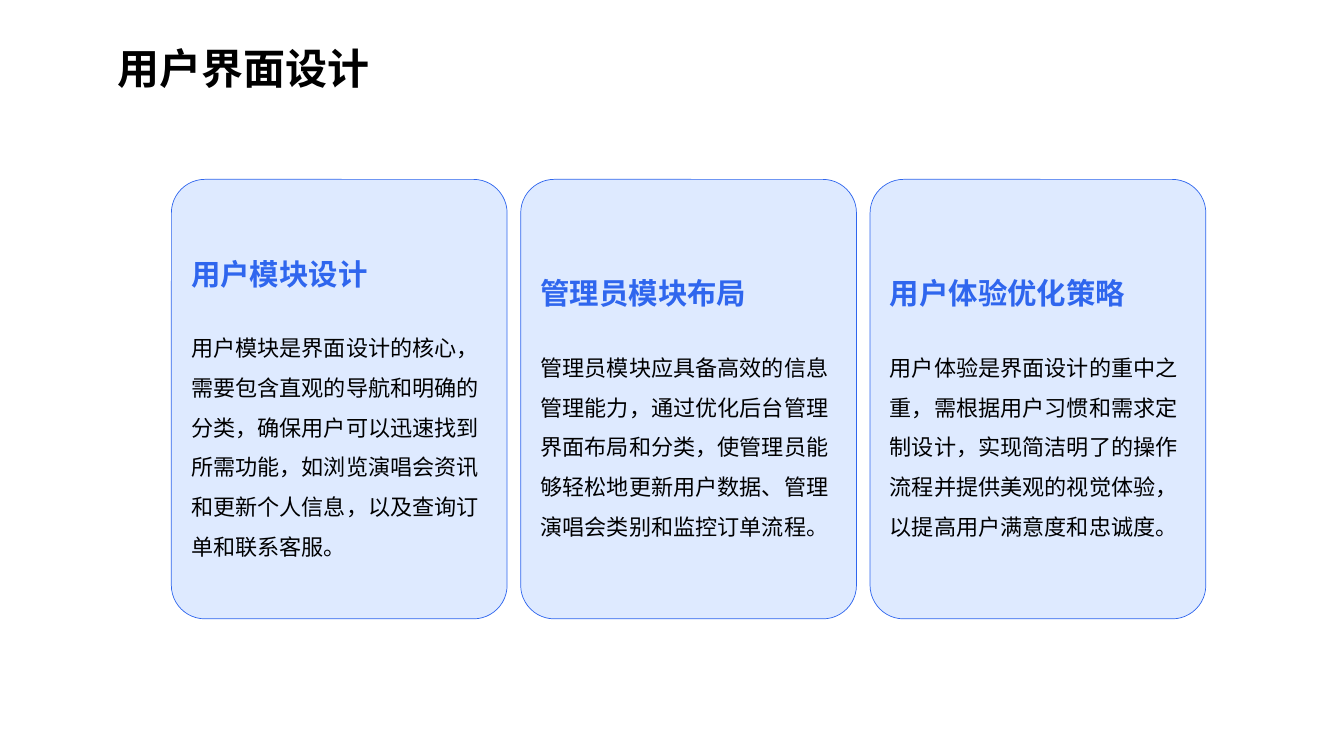
from dataclasses import dataclass

from lxml import etree
from pptx import Presentation
from pptx import util as u
from pptx.dml.color import RGBColor
from pptx.enum import shapes, text
from pptx.oxml import ns


@dataclass(frozen=True)
class Theme:
    font: str = "Noto Sans CJK SC"
    ink: str = "000000"
    accent: str = "2F66EE"
    card: str = "DEEAFF"
    paper: str = "FFFFFF"
    title_size: float = 30
    heading_size: float = 21
    body_size: float = 15.8


@dataclass(frozen=True)
class Box:
    left: float
    top: float
    width: float
    height: float

    def lengths(self):
        return [u.Inches(v) for v in (self.left, self.top, self.width, self.height)]


THEME = Theme()
TITLE = "用户界面设计"
CARDS = [
    ("用户模块设计",
     "用户模块是界面设计的核心，需要包含直观的导航和明确的分类，确保用户可以迅速找到所需功能，"
     "如浏览演唱会资讯和更新个人信息，以及查询订单和联系客服。"),
    ("管理员模块布局",
     "管理员模块应具备高效的信息管理能力，通过优化后台管理界面布局和分类，"
     "使管理员能够轻松地更新用户数据、管理演唱会类别和监控订单流程。"),
    ("用户体验优化策略",
     "用户体验是界面设计的重中之重，需根据用户习惯和需求定制设计，"
     "实现简洁明了的操作流程并提供美观的视觉体验，以提高用户满意度和忠诚度。"),
]


def write(para, words, size, color, bold=False, spacing=1.0):
    para.text = words
    para.alignment = text.PP_ALIGN.LEFT
    para.line_spacing = spacing
    for span in para.runs:
        span.font.size = u.Pt(size)
        span.font.bold = bold
        span.font.color.rgb = RGBColor.from_string(color)
        span.font.name = THEME.font
        east_asian = etree.SubElement(span._r.get_or_add_rPr(), ns.qn("a:ea"))
        east_asian.set("typeface", THEME.font)


def place_title(page, box):
    title = page.shapes.title
    title.left, title.top, title.width, title.height = box.lengths()
    frame = title.text_frame
    frame.word_wrap = True
    frame.auto_size = text.MSO_AUTO_SIZE.NONE
    frame.vertical_anchor = text.MSO_ANCHOR.MIDDLE
    write(frame.paragraphs[0], TITLE, THEME.title_size, THEME.ink, True, 1.5)


def add_card(page, box, heading, body):
    card = page.shapes.add_shape(shapes.MSO_SHAPE.ROUNDED_RECTANGLE, *box.lengths())
    card.adjustments[0] = 0.1
    card.shadow.inherit = False
    card.fill.solid()
    card.fill.fore_color.rgb = RGBColor.from_string(THEME.card)
    card.line.color.rgb = RGBColor.from_string(THEME.accent)
    card.line.width = u.Pt(0.5)
    frame = card.text_frame
    frame.word_wrap = True
    frame.vertical_anchor = text.MSO_ANCHOR.MIDDLE
    frame.margin_top = u.Inches(0.22)
    head = frame.paragraphs[0]
    write(head, heading, THEME.heading_size, THEME.accent, True)
    head.space_after = u.Pt(21.6)
    write(frame.add_paragraph(), body, THEME.body_size, THEME.ink, spacing=1.5)


def add_card_row(page, box, card_width):
    step = (box.width - card_width) / (len(CARDS) - 1)
    for index, (heading, body) in enumerate(CARDS):
        place = Box(box.left + index * step, box.top, card_width, box.height)
        add_card(page, place, heading, body)


def main():
    deck = Presentation()
    deck.slide_width, deck.slide_height = u.Inches(13.33), u.Inches(7.5)
    page = deck.slides.add_slide(deck.slide_layouts[5])
    page.background.fill.solid()
    page.background.fill.fore_color.rgb = RGBColor.from_string(THEME.paper)
    place_title(page, Box(1.07, 0.12, 10.25, 0.85))
    add_card_row(page, Box(1.7, 1.78, 10.26, 4.36), 3.33)
    deck.save("out.pptx")


if __name__ == "__main__":
    main()
